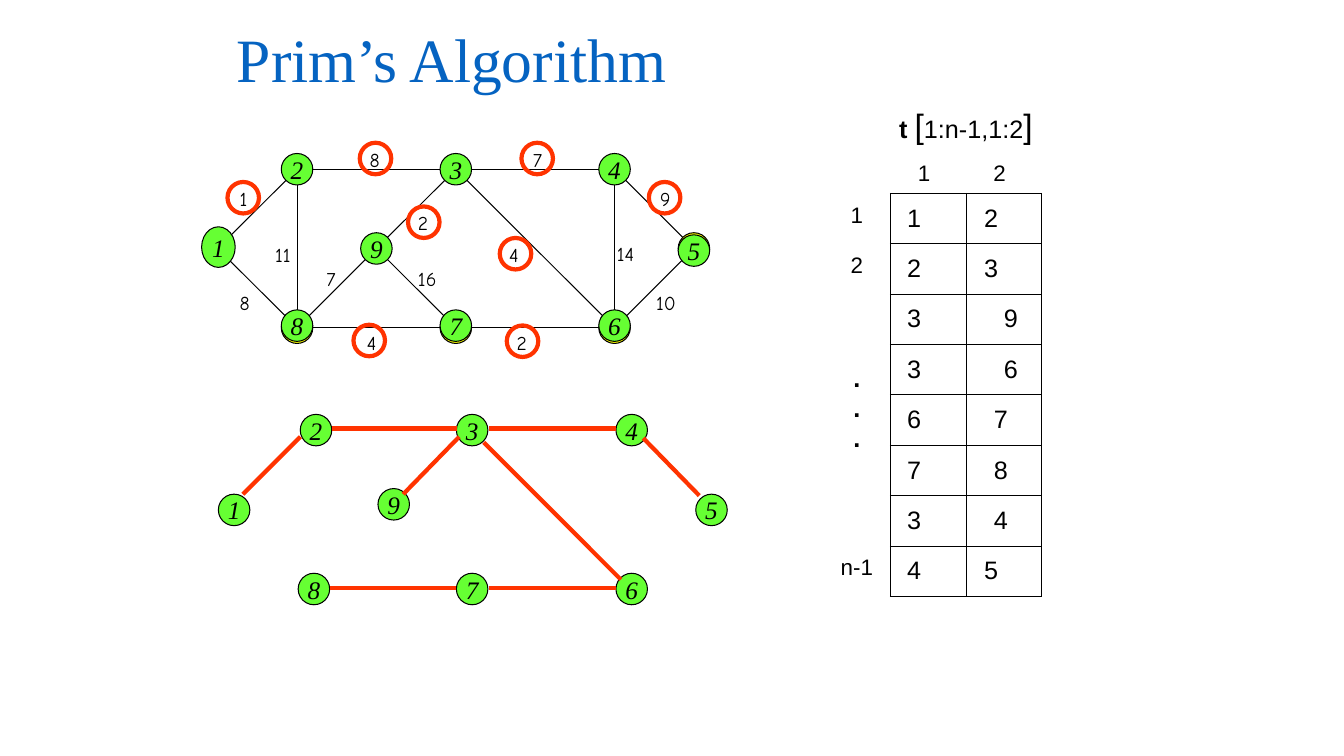
"""Build the slide on Prim's algorithm: weighted graph, spanning tree and edge table."""
from dataclasses import dataclass
from math import hypot
from typing import Optional

from lxml import etree
from pptx import Presentation
from pptx.dml.color import RGBColor
from pptx.enum import shapes, text as text_enum
from pptx.oxml import ns
from pptx.util import Pt

COLORS = {"title": "0563C1", "black": "000000", "white": "FFFFFF",
          "node": "66FF33", "old": "FFFF00", "tree": "FF3300"}
DIAMETER = 22.5


@dataclass(frozen=True)
class Node:
    label: str
    left: float
    top: float
    width: float = DIAMETER
    height: float = DIAMETER


@dataclass(frozen=True)
class Weight:
    label: str
    left: float
    top: float
    width: float = 23
    ring: Optional[tuple[float, float]] = None


@dataclass(frozen=True)
class Label:
    content: str
    left: float
    top: float
    height: float = 18
    size: float = 16
    bold: bool = False


GRID = {"1": (0, 1), "2": (1, 0), "3": (3, 0), "4": (5, 0), "5": (6, 1),
        "6": (5, 2), "7": (3, 2), "8": (1, 2), "9": (2, 1)}
CENTERS = {name: (155.5 + 56.7 * column, 120.9 + 56.6 * row)
           for name, (column, row) in GRID.items()}
EDGES = ["12", "18", "82", "89", "93", "97", "34", "76", "64", "36", "23", "45", "65", "87"]
SHIFTS = {"5": 1.5, "6": -1.5, "7": -1.5, "8": -1.5}
WEIGHTS = [
    Weight("1", 164, 130, 21, (162.5, 130)), Weight("8", 257, 102, ring=(257, 102)),
    Weight("7", 373.5, 102, ring=(372.5, 102)), Weight("9", 464.5, 130, ring=(463.5, 130)),
    Weight("10", 461.5, 204, 29.5), Weight("14", 433.5, 169, 29.5),
    Weight("4", 356.5, 170, ring=(357, 170)), Weight("2", 291.5, 147, ring=(291.5, 147.5)),
    Weight("2", 362, 232.5, ring=(362, 232.5)), Weight("4", 255, 232.5, ring=(252.5, 232)),
    Weight("7", 226, 187), Weight("11", 189.5, 170, 27.5), Weight("8", 164, 204),
    Weight("16", 291.5, 187, 29.5)]
TREE_NODES = [
    Node("1", 156, 353), Node("2", 214.5, 296), Node("3", 326, 296), Node("4", 440, 296),
    Node("5", 497, 353), Node("6", 440, 409.5), Node("7", 326, 409.5),
    Node("8", 213, 409.5), Node("9", 270, 349)]
TREE_EDGES = [
    (173.5, 353, 214.5, 312), (237.5, 306, 326.5, 306), (288, 353, 328, 312),
    (345.5, 316, 443.5, 414), (349, 420, 440, 420), (235.5, 420, 326, 420),
    (349, 306, 440, 306), (459.5, 313, 499.5, 354)]
TABLE_ROWS = [("1", "2", 13), ("2", "3", 13), ("3", "9", 27), ("3", "6", 27),
              ("6", "7", 20), ("7", "8", 20), ("3", "4", 20), ("4", "5", 13)]
LABELS = [
    Label("1", 600, 144), Label("2", 600, 180), Label("n-1", 600, 396),
    Label(".\n.\n.", 600, 252, 78, 18, True), Label("1", 648, 114), Label("2", 702, 114)]


def rgb(name: str) -> RGBColor:
    """Return the named colour."""
    return RGBColor.from_string(COLORS[name])


def add_run(paragraph, content: str, *, size: float, font: str = "Arial",
            color: str = "black", bold: bool = False, italic: bool = False) -> None:
    """Append formatted text to a paragraph."""
    run = paragraph.add_run()
    run.text = content
    run.font.size, run.font.name = Pt(size), font
    run.font.bold, run.font.italic = bold, italic
    run.font.color.rgb = rgb(color)


def write(frame, content: str, *, centered: bool = True, inset: tuple[float, float] = (0, 0),
          wrap: bool = False, **style) -> None:
    """Fill a text frame with one paragraph per line."""
    frame.word_wrap = wrap
    frame.vertical_anchor = text_enum.MSO_ANCHOR.MIDDLE
    frame.margin_left = frame.margin_right = Pt(inset[0])
    frame.margin_top = frame.margin_bottom = Pt(inset[1])
    for index, line in enumerate(content.split("\n")):
        paragraph = frame.add_paragraph() if index else frame.paragraphs[0]
        paragraph.alignment = text_enum.PP_ALIGN.CENTER if centered else text_enum.PP_ALIGN.LEFT
        if line:
            add_run(paragraph, line, **style)


def add_circle(slide, node: Node, *, fill: Optional[str] = "node",
               line: str = "black", weight: float = 0.75) -> None:
    """Draw a node or a ring, with its label if it has one."""
    shape = slide.shapes.add_shape(shapes.MSO_SHAPE.OVAL, Pt(node.left), Pt(node.top),
                                   Pt(node.width), Pt(node.height))
    shape.shadow.inherit = False
    if fill:
        shape.fill.solid()
        shape.fill.fore_color.rgb = rgb(fill)
    else:
        shape.fill.background()
    shape.line.color.rgb, shape.line.width = rgb(line), Pt(weight)
    if node.label:
        write(shape.text_frame, node.label, size=18, font="Times New Roman", italic=True)


def add_line(slide, ends: tuple[float, float, float, float], color: str, weight: float) -> None:
    """Draw a straight line."""
    line = slide.shapes.add_connector(shapes.MSO_CONNECTOR.STRAIGHT, *map(Pt, ends))
    line.line.color.rgb, line.line.width = rgb(color), Pt(weight)
    etree.SubElement(line._element.spPr, ns.qn("a:effectLst"))


def rim_to_rim(start: str, end: str) -> tuple[float, float, float, float]:
    """Return the ends of an edge between the rims of two nodes."""
    (x1, y1), (x2, y2) = CENTERS[start], CENTERS[end]
    ratio = DIAMETER / 2 / hypot(x2 - x1, y2 - y1)
    dx, dy = (x2 - x1) * ratio, (y2 - y1) * ratio
    return x1 + dx, y1 + dy, x2 - dx, y2 - dy


def add_graph(slide) -> None:
    """Draw the weighted graph with the chosen weights ringed."""
    radius = DIAMETER / 2
    for name in SHIFTS:
        x, y = CENTERS[name]
        add_circle(slide, Node("", x - radius, y - radius), fill="old")
    for start, end in EDGES:
        add_line(slide, rim_to_rim(start, end), "black", 0.75)
    for weight in WEIGHTS:
        box = slide.shapes.add_textbox(Pt(weight.left), Pt(weight.top), Pt(weight.width), Pt(24))
        write(box.text_frame, weight.label, centered=False, inset=(7.2, 3.6),
              size=14, font="Comic Neue")
        if weight.ring:
            add_circle(slide, Node("", *weight.ring), fill=None, line="tree", weight=3)
    add_circle(slide, Node("1", 144, 162, 24, 29))
    for name, (x, y) in CENTERS.items():
        if name != "1":
            add_circle(slide, Node(name, x - radius, y - radius + SHIFTS.get(name, 0)))


def add_tree(slide) -> None:
    """Draw the minimum spanning tree."""
    for node in TREE_NODES:
        add_circle(slide, node)
    for ends in TREE_EDGES:
        add_line(slide, ends, "tree", 3)


def format_cell(cell, content: str, indent: float) -> None:
    """Fill and outline one table cell."""
    write(cell.text_frame, content, centered=False, wrap=True, size=18)
    cell.vertical_anchor = text_enum.MSO_ANCHOR.MIDDLE
    cell.margin_left, cell.margin_right = Pt(indent), Pt(0)
    cell.margin_top = cell.margin_bottom = Pt(3.6)
    properties = cell._tc.get_or_add_tcPr()
    for side in ("lnL", "lnR", "lnT", "lnB"):
        border = etree.SubElement(properties, ns.qn(f"a:{side}"), w=str(Pt(0.75)))
        solid = etree.SubElement(border, ns.qn("a:solidFill"))
        etree.SubElement(solid, ns.qn("a:srgbClr"), val=COLORS["black"])
    cell.fill.solid()
    cell.fill.fore_color.rgb = rgb("white")


def add_edge_table(slide) -> None:
    """Draw the table of tree edges with its heading and indices."""
    heading = slide.shapes.add_textbox(Pt(636), Pt(74), Pt(108), Pt(36))
    write(heading.text_frame, "t ", size=18, bold=True)
    paragraph = heading.text_frame.paragraphs[0]
    paragraph.line_spacing = 0.8
    for content, size in (("[", 24), ("1:n-1,1:2", 18), ("]", 24)):
        add_run(paragraph, content, size=size)
    table = slide.shapes.add_table(len(TABLE_ROWS), 2, Pt(636), Pt(138),
                                   Pt(108), Pt(36 * len(TABLE_ROWS))).table
    table.first_row = table.horz_banding = False
    for row, (start, end, indent) in enumerate(TABLE_ROWS):
        format_cell(table.cell(row, 0), start, 12)
        format_cell(table.cell(row, 1), end, indent)
    for label in LABELS:
        box = slide.shapes.add_textbox(Pt(label.left), Pt(label.top), Pt(24), Pt(label.height))
        write(box.text_frame, label.content, size=label.size, bold=label.bold)


def main() -> None:
    """Build and save the presentation."""
    presentation = Presentation()
    presentation.slide_width, presentation.slide_height = Pt(960), Pt(540)
    slide = presentation.slides.add_slide(presentation.slide_layouts[5])
    title = slide.shapes.title
    title.left, title.top, title.width, title.height = Pt(162), Pt(0), Pt(612), Pt(90)
    write(title.text_frame, "Prim’s Algorithm", centered=False, inset=(7.2, 3.6), wrap=True,
          size=44, font="Times New Roman", color="title")
    title.text_frame.paragraphs[0].line_spacing = 0.9
    add_graph(slide)
    add_tree(slide)
    add_edge_table(slide)
    presentation.save("out.pptx")


if __name__ == "__main__":
    main()
